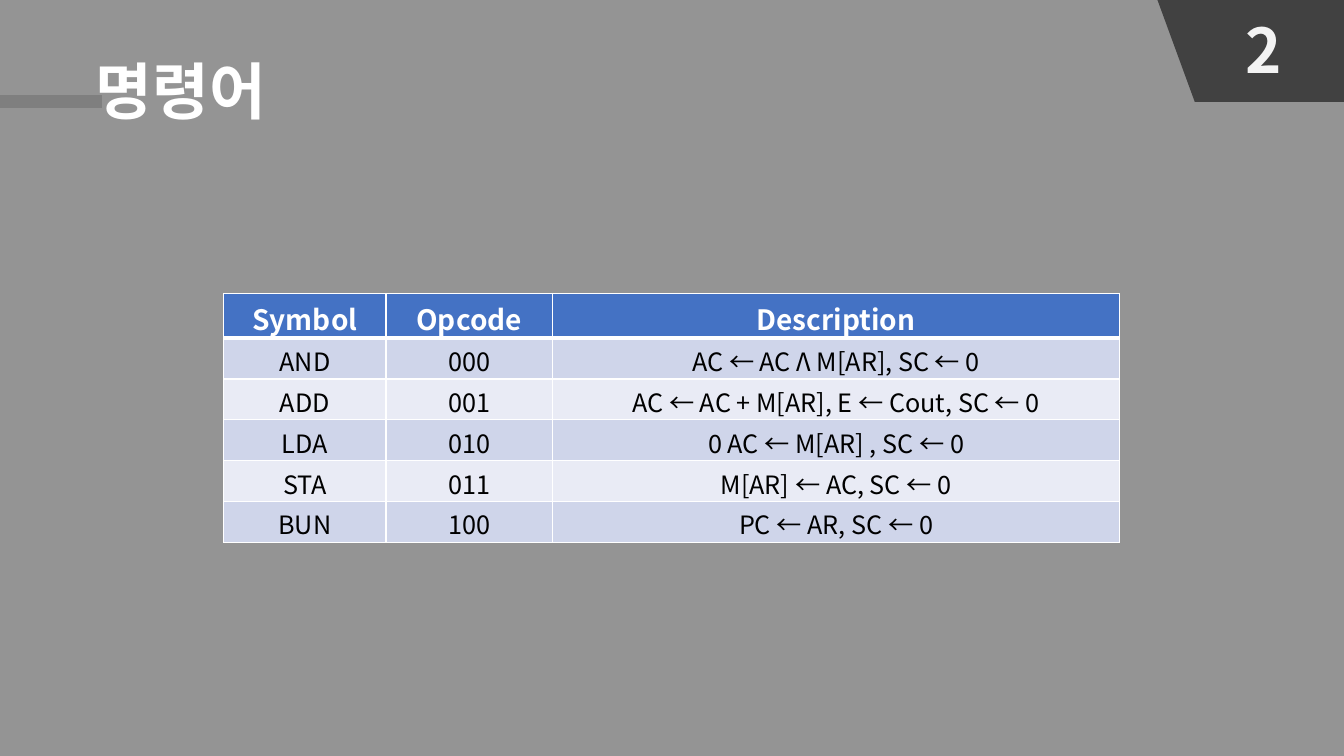
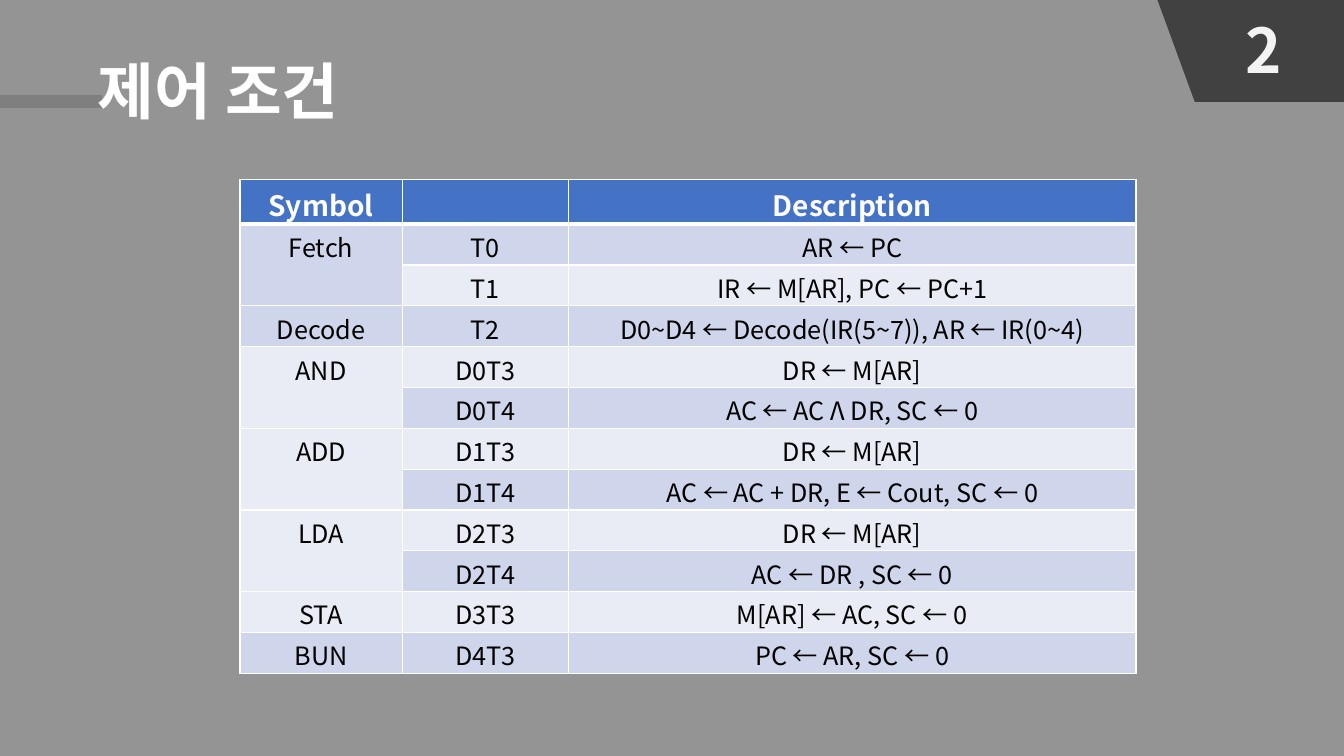
"""Build two slides of instruction and control tables."""
import dataclasses

import pptx
import pptx.dml.color
import pptx.enum.shapes
import pptx.enum.text
import pptx.oxml
import pptx.oxml.ns
import pptx.util


@dataclasses.dataclass(frozen=True)
class Theme:
    face: str = "Noto Sans CJK KR"
    back: str = "949494"
    badge: str = "414141"
    band: str = "7F7F7F"
    white: str = "FFFFFF"
    pale: str = "F3F3F3"
    black: str = "000000"
    head: str = "4472C4"
    rows: tuple = ("CFD5EA", "E9EBF5")
    title: int = 44
    label: int = 20
    text: int = 18
    stripe: int = 9
    rule: int = 1
    heavy: int = 3


WIDE, HIGH = 160, 90
UNIT = pptx.util.Inches(13.33) / WIDE
COLS = (19.32, 19.8, 67.56)
TOP, ROW = 5.32, 4.86
PLAIN = {"margin_left": pptx.util.Inches(0.1), "margin_right": pptx.util.Inches(0.1),
         "margin_top": pptx.util.Inches(0.05), "margin_bottom": pptx.util.Inches(0.05),
         "word_wrap": False, "auto_size": pptx.enum.text.MSO_AUTO_SIZE.NONE,
         "vertical_anchor": pptx.enum.text.MSO_ANCHOR.MIDDLE}


def grid(*spans):
    return [pptx.util.Emu(round(span * UNIT)) for span in spans]


def tint(code):
    return pptx.dml.color.RGBColor.from_string(code)


def adorn(item, form):
    for key, value in form.items():
        setattr(item, key, value)


def paint(fill, code):
    fill.solid()
    fill.fore_color.rgb = tint(code)


def edge(cell, side, width, code):
    line = pptx.oxml.parse_xml(
        f'<a:{side} {pptx.oxml.ns.nsdecls("a")} w="{pptx.util.Pt(width)}">'
        f'<a:solidFill><a:srgbClr val="{code}"/></a:solidFill></a:{side}>')
    cell._tc.get_or_add_tcPr().append(line)


class Deck:
    def __init__(self, theme):
        self.theme = theme
        self.show = pptx.Presentation()
        adorn(self.show, dict(zip(("slide_width", "slide_height"), grid(WIDE, HIGH))))
        paint(self.show.slide_master.background.fill, theme.back)
        self.slide = None

    def label(self, frame, text, size, code, bold=True):
        para = frame.paragraphs[0]
        para.alignment = pptx.enum.text.PP_ALIGN.CENTER
        run = para.add_run()
        run.text = text
        adorn(run.font, {"name": self.theme.face, "size": pptx.util.Pt(size), "bold": bold})
        run.font.color.rgb = tint(code)
        run._r.get_or_add_rPr().append(pptx.oxml.parse_xml(
            f'<a:ea {pptx.oxml.ns.nsdecls("a")} typeface="{self.theme.face}"/>'))

    def start(self, number):
        self.slide = self.show.slides.add_slide(self.show.slide_layouts[5])
        self.badge()
        self.band()
        self.number(number)

    def badge(self):
        kind = pptx.enum.shapes.MSO_SHAPE.FLOWCHART_MANUAL_INPUT
        shape = self.slide.shapes.add_shape(kind, *grid(142.84, -5.04, 12.12, 22.2))
        shape.rotation = 270
        shape.shadow.inherit = False
        paint(shape.fill, self.theme.badge)
        shape.line.fill.background()

    def band(self):
        kind = pptx.enum.shapes.MSO_CONNECTOR.STRAIGHT
        line = self.slide.shapes.add_connector(kind, *grid(0, 12.12, 12.12, 12.12))
        line.line.width = pptx.util.Pt(self.theme.stripe)
        line.line.color.rgb = tint(self.theme.band)
        line._element.spPr.append(pptx.oxml.parse_xml(
            f'<a:effectLst {pptx.oxml.ns.nsdecls("a")}/>'))

    def number(self, text):
        box = self.slide.shapes.add_textbox(*grid(147.12, 0.72, 6.6, 10.08))
        adorn(box.text_frame, PLAIN)
        self.label(box.text_frame, text, self.theme.title, self.theme.pale)

    def title(self, text, left, width):
        box = self.slide.shapes.title
        adorn(box, dict(zip(("left", "top", "width", "height"),
                            grid(left, 5.64, width, 10.08))))
        adorn(box.text_frame, PLAIN)
        self.label(box.text_frame, text, self.theme.title, self.theme.white)
        box.element.getparent().append(box.element)

    def table(self, left, top, rows):
        high = TOP + ROW * (len(rows) - 1)
        table = self.slide.shapes.add_table(
            len(rows), len(COLS), *grid(left, top, sum(COLS), high)).table
        table.horz_banding = False
        for col, width in zip(table.columns, grid(*COLS)):
            col.width = width
        for i, row in enumerate(rows):
            table.rows[i].height = grid(ROW if i else TOP)[0]
            for j, text in enumerate(row):
                self.cell(table.cell(i, j), text, i)
                if text is None:
                    table.cell(i - 1, j).merge(table.cell(i, j))

    def cell(self, cell, text, i):
        theme = self.theme
        adorn(cell, {"margin_top": grid(0.5)[0], "margin_bottom": 0,
                     "vertical_anchor": pptx.enum.text.MSO_ANCHOR.TOP})
        for side in ("lnL", "lnR", "lnT", "lnB"):
            heavy = (side, i) in (("lnB", 0), ("lnT", 1))
            edge(cell, side, theme.heavy if heavy else theme.rule, theme.white)
        paint(cell.fill, theme.rows[(i - 1) % 2] if i else theme.head)
        if text:
            size, code = (theme.text, theme.black) if i else (theme.label, theme.white)
            self.label(cell.text_frame, text, size, code, bold=not i)


CODES = [
    ("Symbol", "Opcode", "Description"),
    ("AND", "000", "AC ← AC Λ M[AR], SC ← 0"),
    ("ADD", "001", "AC ← AC + M[AR], E ← Cout, SC ← 0"),
    ("LDA", "010", "0 AC ← M[AR] , SC ← 0"),
    ("STA", "011", "M[AR] ← AC, SC ← 0"),
    ("BUN", "100", "PC ← AR, SC ← 0"),
]
STEPS = [
    ("Symbol", "", "Description"),
    ("Fetch", "T0", "AR ← PC"),
    (None, "T1", "IR ← M[AR], PC ← PC+1"),
    ("Decode", "T2", "D0~D4 ← Decode(IR(5~7)), AR ← IR(0~4)"),
    ("AND", "D0T3", "DR ← M[AR]"),
    (None, "D0T4", "AC ← AC Λ DR, SC ← 0"),
    ("ADD", "D1T3", "DR ← M[AR]"),
    (None, "D1T4", "AC ← AC + DR, E ← Cout, SC ← 0"),
    ("LDA", "D2T3", "DR ← M[AR]"),
    (None, "D2T4", "AC ← DR , SC ← 0"),
    ("STA", "D3T3", "M[AR] ← AC, SC ← 0"),
    ("BUN", "D4T3", "PC ← AR, SC ← 0"),
]


def main():
    deck = Deck(Theme())
    deck.start("2")
    deck.table(26.64, 34.92, CODES)
    deck.title("명령어", 9.24, 24.6)
    deck.start("2")
    deck.table(28.56, 21.36, STEPS)
    deck.title("제어 조건", 8.64, 34.68)
    deck.show.save("out.pptx")


if __name__ == "__main__":
    main()
